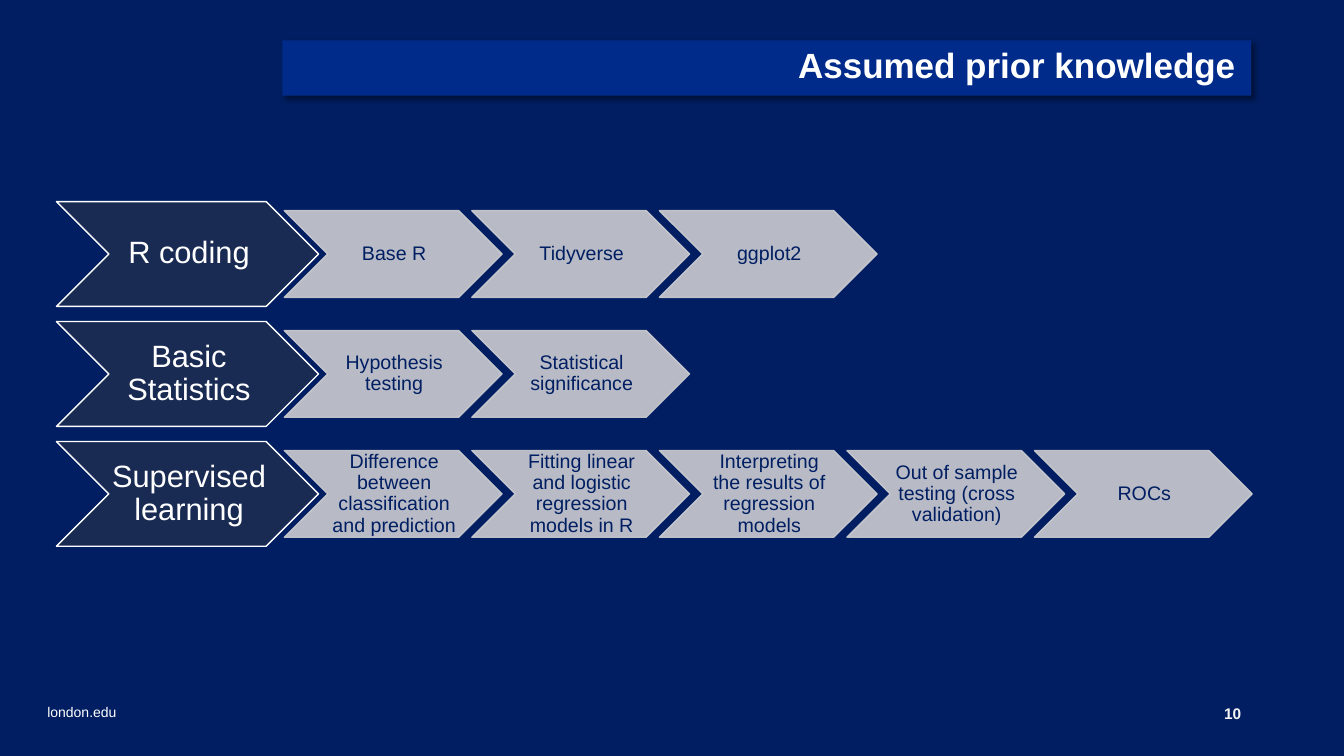
from lxml.etree import SubElement
from pptx import Presentation
from pptx.dml.color import RGBColor
from pptx.enum.shapes import MSO_SHAPE as Shape
from pptx.enum.text import MSO_ANCHOR as Anchor, MSO_AUTO_SIZE as AutoSize, PP_ALIGN as Align
from pptx.oxml import parse_xml
from pptx.oxml.ns import nsdecls, qn
from pptx.util import Inches, Pt

COLORS = {"navy": "001E61", "banner": "002B8A", "topic": "1A2B53",
          "step": "CDCDD1", "white": "FFFFFF", "number": "F6F6F6"}

# Chevron grid, in inches
LEFT, TOP, ROW_PITCH = 0.56, 2.0, 1.19
TOPIC_W, TOPIC_H = 2.6, 1.04
STEP_LEFT, STEP_PITCH = 2.82, 1.86
STEP_W, STEP_H = 2.16, 0.86

TOPICS = [
    ("R coding", ["Base R", "Tidyverse", "ggplot2"]),
    ("Basic Statistics", ["Hypothesis testing", "Statistical significance"]),
    ("Supervised learning", ["Difference between classification and prediction",
                             "Fitting linear and logistic regression models in R",
                             "Interpreting the results of regression models",
                             "Out of sample testing (cross validation)",
                             "ROCs"]),
]


def rgb(name):
    return RGBColor.from_string(COLORS[name])


def place(sp, left, top, width, height):
    sp.left, sp.top, sp.width, sp.height = map(Inches, (left, top, width, height))


def write(sp, text, size, color, align, anchor, insets, bold=False, spacing=0.9):
    tf = sp.text_frame
    tf.word_wrap = True
    tf.auto_size = AutoSize.NONE
    tf.vertical_anchor = anchor
    tf.margin_left, tf.margin_top, tf.margin_right, tf.margin_bottom = map(Inches, insets)
    p = tf.paragraphs[0]
    p.alignment = align
    p.line_spacing = spacing
    r = p.add_run()
    r.text = text
    r.font.name, r.font.size, r.font.bold = "Arial", Pt(size), bold
    r.font.color.rgb = rgb(color)


def add_chevron(slide, box, fill, line, opacity=100):
    sp = slide.shapes.add_shape(Shape.CHEVRON, *map(Inches, box))
    sp.shadow.inherit = False
    sp.fill.solid()
    sp.fill.fore_color.rgb = rgb(fill)
    sp.line.color.rgb = rgb(line)
    sp.line.width = Pt(1)
    if opacity < 100:
        for clr in sp._element.spPr.iter(qn("a:srgbClr")):
            SubElement(clr, qn("a:alpha"), val=str(opacity * 1000))
    return sp


def add_topic_row(slide, row, topic, steps):
    top = TOP + row * ROW_PITCH
    sp = add_chevron(slide, (LEFT, top, TOPIC_W, TOPIC_H), "topic", "white")
    write(sp, topic, 22, "white", Align.CENTER, Anchor.MIDDLE, (0.03, 0.02, 0, 0.02))
    step_top = top + (TOPIC_H - STEP_H) / 2
    for col, step in enumerate(steps):
        box = (STEP_LEFT + col * STEP_PITCH, step_top, STEP_W, STEP_H)
        sp = add_chevron(slide, box, "step", "step", 90)
        write(sp, step, 14, "navy", Align.CENTER, Anchor.MIDDLE, (0.02, 0.01, 0, 0.01))


def format_title(sp, text):
    place(sp, 2.8, 0.4, 9.61, 0.55)
    sp.fill.solid()
    sp.fill.fore_color.rgb = rgb("banner")
    # Banner outline with square corners and a soft shadow
    spPr = sp._element.spPr
    spPr.insert(1, parse_xml(
        f'<a:prstGeom {nsdecls("a")} prst="roundRect"><a:avLst>'
        '<a:gd name="adj" fmla="val 0"/></a:avLst></a:prstGeom>'))
    spPr.append(parse_xml(
        f'<a:effectLst {nsdecls("a")}><a:outerShdw blurRad="{Pt(4)}" dist="{Pt(3)}" '
        'dir="2700000" algn="tl" rotWithShape="0"><a:srgbClr val="000000">'
        '<a:alpha val="40000"/></a:srgbClr></a:outerShdw></a:effectLst>'))
    write(sp, text, 25, "white", Align.RIGHT, Anchor.TOP, (0.1, 0.08, 0.16, 0.08), bold=True)


def add_footer(slide):
    sp = slide.shapes.add_textbox(0, 0, 0, 0)
    place(sp, 0.47, 6.74, 2.44, 0.46)
    write(sp, "london.edu", 10, "white", Align.LEFT, Anchor.BOTTOM, (0, 0.05, 0.1, 0.05))
    sp = slide.shapes.add_textbox(0, 0, 0, 0)
    place(sp, 11.9, 6.95, 0.51, 0.26)
    write(sp, "10", 11, "number", Align.RIGHT, Anchor.MIDDLE, (0.1, 0.05, 0.1, 0.05),
          bold=True, spacing=1.0)


def main():
    prs = Presentation()
    prs.slide_width, prs.slide_height = Inches(13.33), Inches(7.5)
    slide = prs.slides.add_slide(prs.slide_layouts[5])
    slide.background.fill.solid()
    slide.background.fill.fore_color.rgb = rgb("navy")

    format_title(slide.shapes.title, "Assumed prior knowledge")
    for row, (topic, steps) in enumerate(TOPICS):
        add_topic_row(slide, row, topic, steps)
    add_footer(slide)
    prs.save("out.pptx")


if __name__ == "__main__":
    main()
